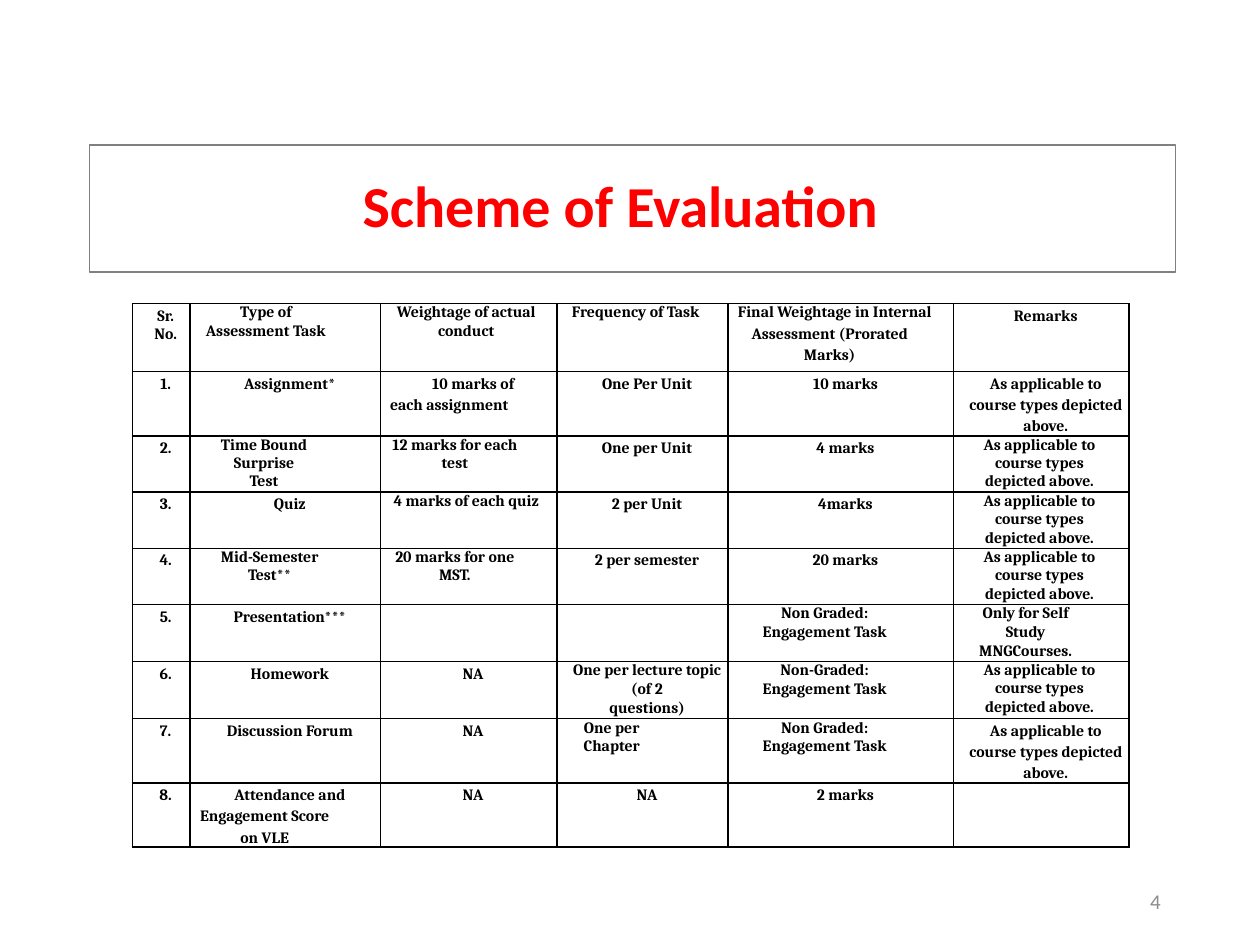
from pptx import Presentation
from pptx.dml.color import RGBColor
from pptx.enum.shapes import MSO_SHAPE
from pptx.enum.text import MSO_ANCHOR, PP_ALIGN
from pptx.oxml import parse_xml
from pptx.oxml.ns import nsdecls
from pptx.util import Inches, Pt

RECTANGLE = MSO_SHAPE.RECTANGLE
MIDDLE = MSO_ANCHOR.MIDDLE
LEFT, CENTER, RIGHT = PP_ALIGN.LEFT, PP_ALIGN.CENTER, PP_ALIGN.RIGHT

BLACK = RGBColor(0x00, 0x00, 0x00)
RED = RGBColor(0xFF, 0x00, 0x00)
GRAY = RGBColor(0x80, 0x80, 0x80)
PAGE_GRAY = RGBColor(0x8C, 0x8C, 0x8C)

# Line spacings: a length is exact, a number is a share of the line
EXACT = Pt(12.2)
SHORT = Pt(10.8)
TIGHT = 0.98
SINGLE = 1.0

COLUMN_WIDTHS = [0.46, 1.51, 1.4, 1.36, 1.79, 1.39]
ROW_HEIGHTS = [0.54, 0.4, 0.42, 0.42, 0.41, 0.4, 0.41, 0.4, 0.4]


def line(text, spacing=EXACT, right=0):
    """One paragraph of a cell: text, line spacing, right margin in inches."""
    return text, spacing, right


NOT_APPLICABLE = [line("NA")]
COURSE_TYPES = [line("As applicable to"), line("course types depicted above.")]
COURSE_TYPES_TIGHT = [line("As applicable to course types", TIGHT, 0.1),
                      line("depicted above.", SHORT, 0.1)]
NON_GRADED = [line("Non Graded: Engagement Task", SINGLE, 0.33)]

ROWS = [
    [[line("Sr."), line("No.", SINGLE)],
     [line("Type of Assessment Task", SINGLE, 0.38)],
     [line("Weightage of actual conduct", SINGLE, 0.11)],
     [line("Frequency of Task", SINGLE, 0.18)],
     [line("Final Weightage in Internal", SINGLE, 0.17),
      line("Assessment (Prorated Marks)", EXACT, 0.25)],
     [line("Remarks")]],
    [[line("1.")], [line("Assignment*")],
     [line("10 marks of"), line("each assignment", EXACT, 0.38)],
     [line("One Per Unit")], [line("10 marks")], COURSE_TYPES],
    [[line("2.")],
     [line("Time Bound Surprise", TIGHT, 0.41), line("Test", SHORT, 0.41)],
     [line("12 marks for each test", TIGHT, 0.29)],
     [line("One per Unit")], [line("4 marks")], COURSE_TYPES_TIGHT],
    [[line("3.")], [line("Quiz")],
     [line("4 marks of each quiz", TIGHT, 0.11)],
     [line("2 per Unit")], [line("4marks")], COURSE_TYPES_TIGHT],
    [[line("4.")], [line("Mid-Semester Test**", TIGHT, 0.32)],
     [line("20 marks for one MST.", TIGHT, 0.29)],
     [line("2 per semester")], [line("20 marks")], COURSE_TYPES_TIGHT],
    [[line("5.")], [line("Presentation***")], [line("")], [line("")], NON_GRADED,
     [line("Only for Self Study", SINGLE, 0.32), line("MNGCourses.", SHORT, 0.32)]],
    [[line("6.")], [line("Homework")], NOT_APPLICABLE,
     [line("One per lecture topic (of 2", SINGLE), line("questions)", SHORT)],
     [line("Non-Graded: Engagement Task", SINGLE, 0.33)], COURSE_TYPES_TIGHT],
    [[line("7.")], [line("Discussion Forum")], NOT_APPLICABLE,
     [line("One per Chapter", SINGLE, 0.56)], NON_GRADED, COURSE_TYPES],
    [[line("8.")],
     [line("Attendance and"), line("Engagement Score on VLE", EXACT, 0.4)],
     NOT_APPLICABLE, NOT_APPLICABLE, [line("2 marks")], [line("")]],
]


def style_font(font, name, size, color, bold=False):
    font.name = name
    font.size = Pt(size)
    font.color.rgb = color
    font.bold = bold


def add_label(slide, box, text, alignment, size, color, bold=False):
    text_box = slide.shapes.add_textbox(*map(Inches, box))
    frame = text_box.text_frame
    frame.word_wrap = True
    frame.vertical_anchor = MIDDLE
    paragraph = frame.paragraphs[0]
    paragraph.text = text
    paragraph.alignment = alignment
    style_font(paragraph.font, "Calibri", size, color, bold)
    return paragraph


def add_title_frame(slide, box):
    shape = slide.shapes.add_shape(RECTANGLE, *map(Inches, box))
    shape.shadow.inherit = False
    shape.fill.background()
    shape.line.color.rgb = GRAY
    shape.line.width = Pt(1)


def add_borders(cell):
    properties = cell._tc.get_or_add_tcPr()
    for side in ("lnL", "lnR", "lnT", "lnB"):
        properties.append(parse_xml(
            f'<a:{side} {nsdecls("a")} w="{Pt(1)}"><a:solidFill>'
            f'<a:srgbClr val="{BLACK}"/></a:solidFill></a:{side}>'))


def fill_cell(cell, lines):
    cell.margin_left = cell.margin_right = 0
    cell.margin_top = cell.margin_bottom = 0
    add_borders(cell)
    cell.fill.background()
    frame = cell.text_frame
    for index, (text, spacing, right) in enumerate(lines):
        paragraph = frame.add_paragraph() if index else frame.paragraphs[0]
        paragraph.text = text
        paragraph.alignment = CENTER
        paragraph.line_spacing = spacing
        if index:
            paragraph.space_before = Pt(0.1)
        properties = paragraph._p.get_or_add_pPr()
        properties.set("marL", str(Inches(0.07)))
        properties.set("marR", str(Inches(right)))
        properties.set("indent", "0")
        style_font(paragraph.font, "Cambria", 9, BLACK, True)


def add_evaluation_table(slide, box):
    table = slide.shapes.add_table(
        len(ROWS), len(COLUMN_WIDTHS), *map(Inches, box)).table
    table.first_row = table.horz_banding = False
    for column, width in zip(table.columns, COLUMN_WIDTHS):
        column.width = Inches(width)
    for row, height, contents in zip(table.rows, ROW_HEIGHTS, ROWS):
        row.height = Inches(height)
        for cell, lines in zip(row.cells, contents):
            fill_cell(cell, lines)


def main():
    presentation = Presentation()
    presentation.slide_width = Inches(10)
    presentation.slide_height = Inches(7.5)
    slide = presentation.slides.add_slide(presentation.slide_layouts[6])

    # Title and its frame
    title = add_label(slide, (2.78, 1.19, 6.3, 0.94), "Scheme of Evaluation",
                      LEFT, 33.1, RED, True)
    title.line_spacing = 0.9
    add_title_frame(slide, (0.71, 1.15, 8.62, 1.01))

    # Page number
    add_label(slide, (7.06, 6.95, 2.25, 0.4), "4", RIGHT, 12, PAGE_GRAY)

    # Assessment scheme
    add_evaluation_table(slide, (1.05, 2.41, 7.91, sum(ROW_HEIGHTS)))

    presentation.save("out.pptx")


if __name__ == "__main__":
    main()
